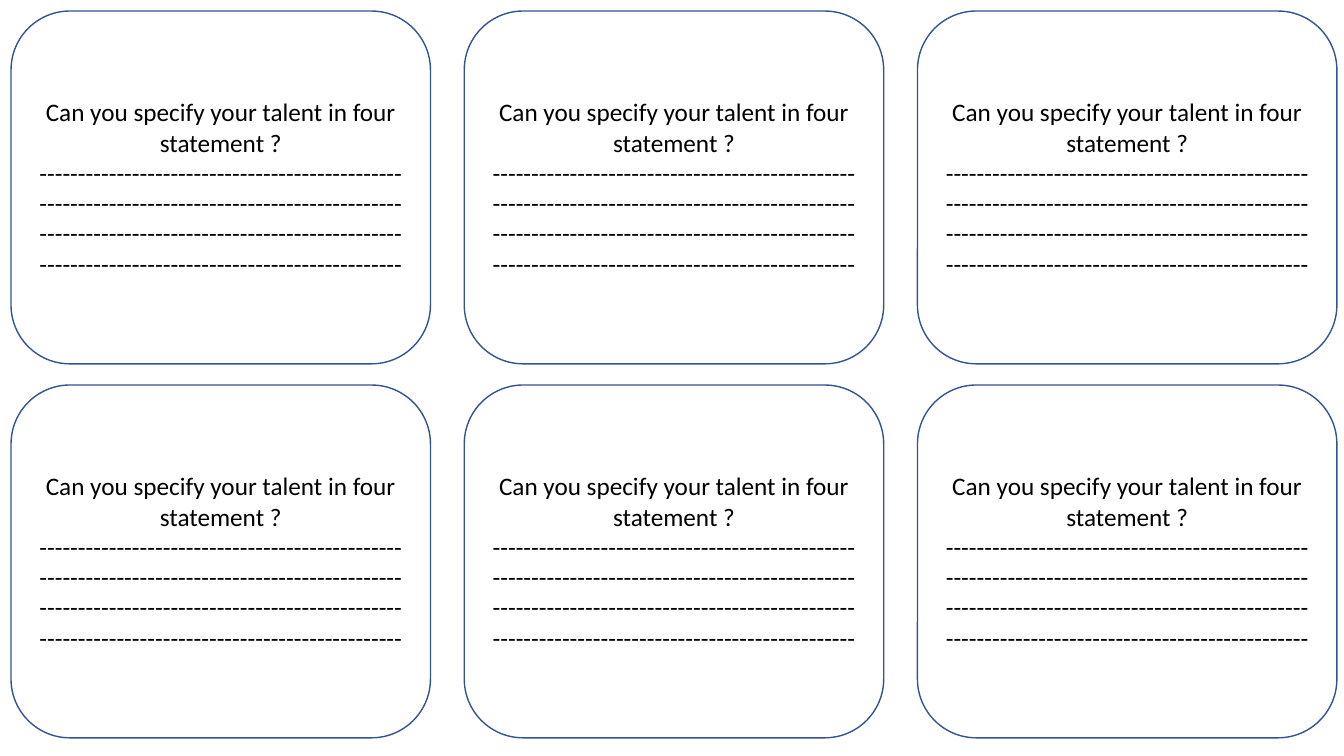
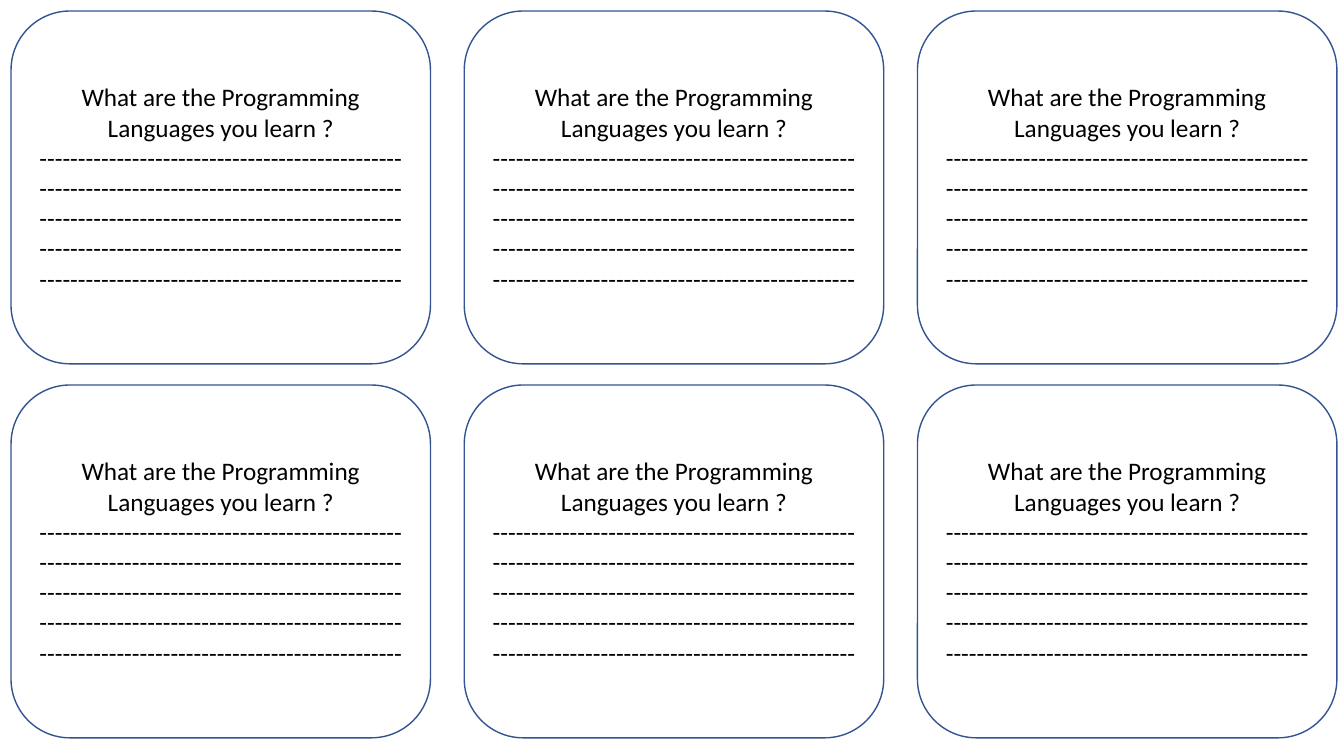
"""Build two slides of question cards with dashed answer lines."""
from dataclasses import dataclass

from pptx import Presentation
from pptx.dml.color import RGBColor
from pptx.enum import shapes, text
from pptx.util import Inches, Pt


@dataclass(frozen=True)
class Theme:
    """Colours and type shared by all cards."""
    paper: str = "FFFFFF"
    outline: str = "325491"
    ink: str = "000000"
    font: str = "Calibri"
    size: int = 18
    line: int = 1


@dataclass(frozen=True)
class Grid:
    """Slide size, margins and card size in inches."""
    width: float = 13.33
    height: float = 7.5
    left: float = 0.11
    top: float = 0.11
    right: float = 0.07
    bottom: float = 0.18
    card_width: float = 4.16
    card_height: float = 3.5
    columns: int = 3
    rows: int = 2

    def origin(self, column: int, row: int) -> tuple[float, float]:
        """Return the left and top of a card, with equal gaps between cards."""
        span_x = self.width - self.left - self.right - self.card_width
        span_y = self.height - self.top - self.bottom - self.card_height
        return (self.left + column * span_x / (self.columns - 1),
                self.top + row * span_y / (self.rows - 1))


@dataclass(frozen=True)
class Question:
    """A question and the number of answer lines below it."""
    wording: str
    answer_lines: int


THEME = Theme()
GRID = Grid()
DASHES_PER_LINE = 47
QUESTIONS = (
    Question("Can you specify your talent in four statement ?", 4),
    Question("What are the Programming Languages you learn ?", 5),
)


def write(p, wording: str, *, size: int = THEME.size, color: str = THEME.ink,
          align=text.PP_ALIGN.CENTER) -> None:
    """Write one formatted run into a paragraph."""
    p.alignment = align
    r = p.add_run()
    r.text = wording
    r.font.name = THEME.font
    r.font.size = Pt(size)
    r.font.color.rgb = RGBColor.from_string(color)


def add_card(s, question: Question, column: int, row: int) -> None:
    """Draw a rounded card at a grid cell."""
    x, y = GRID.origin(column, row)
    sp = s.shapes.add_shape(
        shapes.MSO_SHAPE.ROUNDED_RECTANGLE, Inches(x), Inches(y),
        Inches(GRID.card_width), Inches(GRID.card_height))
    sp.shadow.inherit = False
    sp.fill.solid()
    sp.fill.fore_color.rgb = RGBColor.from_string(THEME.paper)
    sp.line.color.rgb = RGBColor.from_string(THEME.outline)
    sp.line.width = Pt(THEME.line)
    tf = sp.text_frame
    tf.word_wrap = True
    tf.vertical_anchor = text.MSO_ANCHOR.MIDDLE
    write(tf.paragraphs[0], question.wording)
    write(tf.add_paragraph(), "-" * DASHES_PER_LINE * question.answer_lines)


def main() -> None:
    """Build one slide of identical cards for each question."""
    prs = Presentation()
    prs.slide_width, prs.slide_height = Inches(GRID.width), Inches(GRID.height)
    blank = prs.slide_layouts.get_by_name("Blank")
    for question in QUESTIONS:
        s = prs.slides.add_slide(blank)
        for row in range(GRID.rows):
            for column in range(GRID.columns):
                add_card(s, question, column, row)
    prs.save("out.pptx")


if __name__ == "__main__":
    main()
